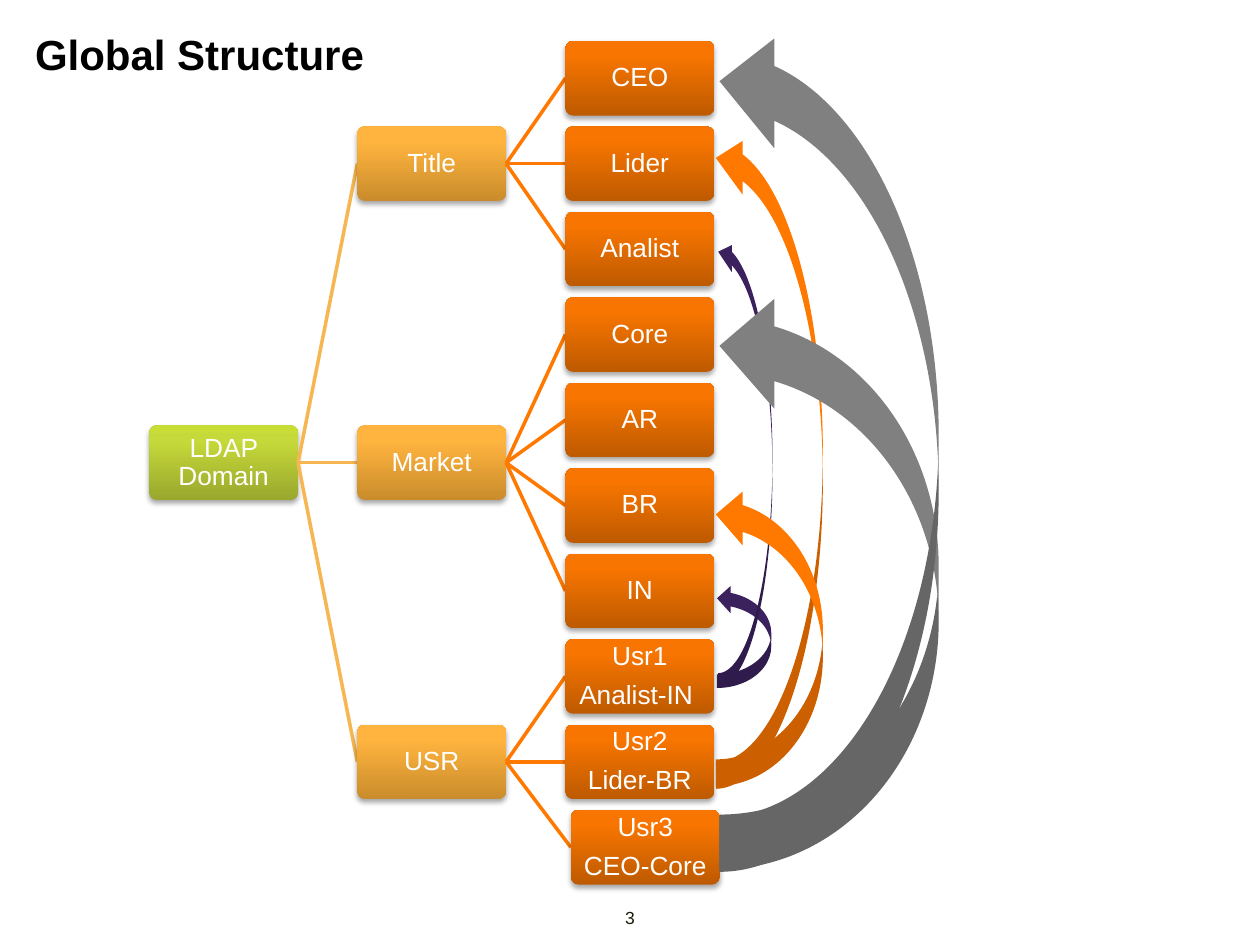
from copy import deepcopy

from lxml.etree import SubElement
from pptx import Presentation
from pptx.dml.color import RGBColor
from pptx.enum.shapes import MSO_CONNECTOR, MSO_SHAPE
from pptx.enum.text import MSO_ANCHOR, MSO_AUTO_SIZE, PP_ALIGN
from pptx.oxml.ns import qn
from pptx.util import Pt

COLORS = {
    "title": "000000", "number": "1B1D08", "label": "FFFFFF", "shadow": "000000",
    "branch_line": "F6B652", "leaf_line": "FF7900",
    "purple": "3B225F", "orange": "FF7900", "gray": "808080",
}
# Gradient stops from the bottom of a box to its top, one set per tree level
GRADIENTS = [
    ("99A72D", "C6D93A", "C9DD37"),
    ("CA8C2B", "FFB43F", "FFB540"),
    ("BE5A00", "F77500", "F87600"),
]
STOP_POSITIONS = (0, 0.8, 1)
LEVEL_LINES = ["branch_line", "leaf_line"]

# Grid of boxes
BOX_WIDTH, BOX_HEIGHT = 85, 42.6
FIRST_LEFT, COLUMN_STEP = 85.3, 118.9
FIRST_TOP, ROW_STEP = 23.4, 48.83
LAST_LEAF_SHIFT = 3.1

TREE = [
    ("Title", ["CEO", "Lider", "Analist"]),
    ("Market", ["Core", "AR", "BR", "IN"]),
    ("USR", ["Usr1\nAnalist-IN ", "Usr2\nLider-BR", "Usr3\nCEO-Core"]),
]

# Curved arrows: left, top, width, height, color
ARROWS = [
    (409.7, 334.1, 31, 59, "purple"),
    (410.4, 136.1, 31, 256.3, "purple"),
    (409, 74.9, 61.2, 375.8, "orange"),
    (409, 278.6, 61.2, 170.6, "orange"),
    (411.1, 166.3, 125.3, 330.5, "gray"),
    (411.1, 15.1, 125.3, 483.1, "gray"),
]


def rgb(name):
    return RGBColor.from_string(COLORS[name])


def write_text(shape, text, size, color, bold=False, align=PP_ALIGN.CENTER,
               anchor=MSO_ANCHOR.TOP, inset=0, line_spacing=1.0, space_after=0):
    frame = shape.text_frame
    frame.word_wrap = True
    frame.auto_size = MSO_AUTO_SIZE.NONE
    frame.vertical_anchor = anchor
    frame.margin_left = frame.margin_right = Pt(inset)
    frame.margin_top = frame.margin_bottom = Pt(inset)
    frame.text = text
    for paragraph in frame.paragraphs:
        paragraph.alignment = align
        paragraph.line_spacing = line_spacing
        paragraph.space_before = Pt(0)
        paragraph.space_after = Pt(space_after)
        for run in paragraph.runs:
            run.font.name = "Arial"
            run.font.size = Pt(size)
            run.font.bold = bold
            run.font.color.rgb = rgb(color)


class StructureSlide:
    def __init__(self, presentation):
        self.slide = presentation.slides.add_slide(presentation.slide_layouts[5])
        self.shapes = self.slide.shapes

    def title(self, text):
        shape = self.shapes.title
        shape.left, shape.top, shape.width, shape.height = Pt(20), Pt(16.5), Pt(680), Pt(29)
        write_text(shape, text, 24, "title", bold=True, align=PP_ALIGN.LEFT)

    def number(self, text):
        shape = self.shapes.add_textbox(Pt(349), Pt(518.4), Pt(22), Pt(12.2))
        write_text(shape, text, 10, "number")

    def preset(self, kind, left, top, width, height):
        shape = self.shapes.add_shape(kind, Pt(left), Pt(top), Pt(width), Pt(height))
        shape.shadow.inherit = False
        shape.line.fill.background()
        return shape

    def box(self, text, left, top, level):
        shape = self.preset(MSO_SHAPE.ROUNDED_RECTANGLE, left, top, BOX_WIDTH, BOX_HEIGHT)
        shape.adjustments[0] = 0.1
        self.gradient(shape, GRADIENTS[level])
        self.soft_shadow(shape)
        write_text(shape, text, 15, "label", anchor=MSO_ANCHOR.MIDDLE, inset=2,
                   line_spacing=0.9, space_after=6)

    def gradient(self, shape, colors):
        shape.fill.gradient()
        shape.fill.gradient_angle = 90
        stop_list = shape.element.spPr.find(".//" + qn("a:gsLst"))
        stop_list.append(deepcopy(stop_list[0]))
        for stop, position, color in zip(shape.fill.gradient_stops, STOP_POSITIONS, colors):
            stop.position = position
            stop.color.rgb = RGBColor.from_string(color)

    def soft_shadow(self, shape):
        effects = shape.element.spPr.find(qn("a:effectLst"))
        shadow = SubElement(effects, qn("a:outerShdw"), blurRad="40000", dist="23000",
                            dir="5400000", rotWithShape="0")
        color = SubElement(shadow, qn("a:srgbClr"), val=COLORS["shadow"])
        SubElement(color, qn("a:alpha"), val="35000")

    def line(self, start, end, color):
        points = [Pt(value) for value in (*start, *end)]
        connector = self.shapes.add_connector(MSO_CONNECTOR.STRAIGHT, *points)
        connector.line.width = Pt(2)
        connector.line.color.rgb = rgb(color)
        SubElement(connector.element.spPr, qn("a:effectLst"))

    def curved_arrow(self, left, top, width, height, color):
        shape = self.preset(MSO_SHAPE.CURVED_RIGHT_ARROW, left, top, width, height)
        shape.rotation = 180
        shape.fill.solid()
        shape.fill.fore_color.rgb = rgb(color)

    def node(self, text, level, row, parent_row=None, shift=0):
        left = FIRST_LEFT + level * COLUMN_STEP + shift
        top = FIRST_TOP + row * ROW_STEP
        if parent_row is not None:
            parent_right = FIRST_LEFT + (level - 1) * COLUMN_STEP + BOX_WIDTH
            parent_middle = FIRST_TOP + parent_row * ROW_STEP + BOX_HEIGHT / 2
            self.line((parent_right, parent_middle), (left, top + BOX_HEIGHT / 2),
                      LEVEL_LINES[level - 1])
        self.box(text, left, top, level)


presentation = Presentation()
presentation.slide_width, presentation.slide_height = Pt(720), Pt(540)
structure = StructureSlide(presentation)
structure.number("3")
structure.title("Global Structure")

# Tree: each parent is centered on its children
leaf_count = sum(len(leaves) for _, leaves in TREE)
root_row = (leaf_count - 1) / 2
structure.node("LDAP Domain", 0, root_row)
first_row = 0
for branch, leaves in TREE:
    branch_row = first_row + (len(leaves) - 1) / 2
    structure.node(branch, 1, branch_row, root_row)
    for row, leaf in enumerate(leaves, first_row):
        shift = LAST_LEAF_SHIFT if row == leaf_count - 1 else 0
        structure.node(leaf, 2, row, branch_row, shift)
    first_row += len(leaves)

# Links from users to their title and market
for arrow in ARROWS:
    structure.curved_arrow(*arrow)

presentation.save("out.pptx")
